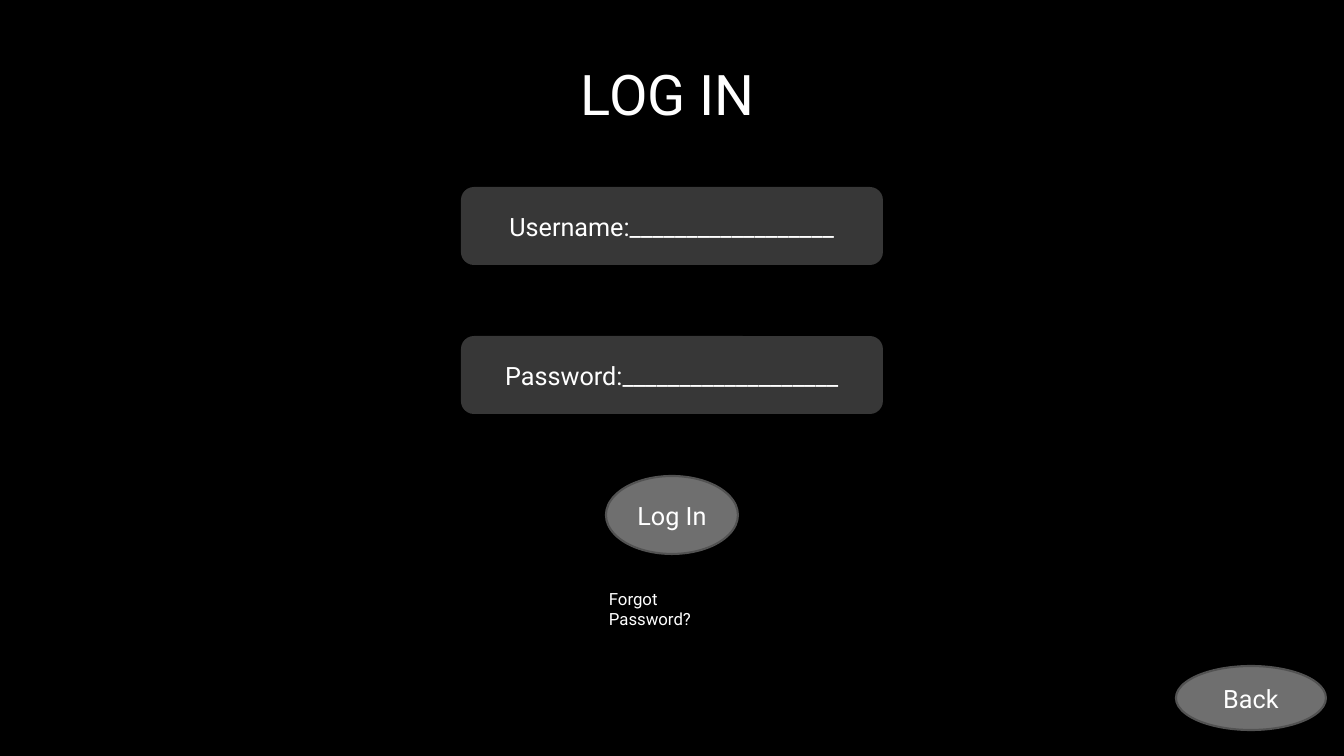
from lxml import etree
from pptx import Presentation
from pptx.dml.color import RGBColor
from pptx.enum import shapes, text
from pptx.oxml.ns import qn
from pptx import util as u

SCALE = 914400 / 100.8


def px(n):
    return u.Emu(round(n * SCALE))


def tint(code):
    return RGBColor.from_string(code)


class Page:
    font = "Roboto"
    ink = "FFFFFF"
    gray = "6F6F6F"
    edge = "525252"

    def __init__(self, slide, back):
        self.slide = slide
        fill = slide.background.fill
        fill.solid()
        fill.fore_color.rgb = tint(back)

    def put(self, frame, words, size, align):
        frame.word_wrap = True
        para = frame.paragraphs[0]
        para.alignment = align
        run = para.add_run()
        run.text = words
        run.font.name = self.font
        run.font.size = u.Pt(size)
        run.font.color.rgb = tint(self.ink)

    def shape(self, kind, box, words):
        item = self.slide.shapes.add_shape(kind, *map(px, box))
        item.shadow.inherit = False
        item.fill.solid()
        item.fill.fore_color.rgb = tint(self.gray)
        item.text_frame.vertical_anchor = text.MSO_ANCHOR.MIDDLE
        self.put(item.text_frame, words, 18, text.PP_ALIGN.CENTER)
        return item

    def field(self, box, words):
        item = self.shape(shapes.MSO_SHAPE.ROUNDED_RECTANGLE, box, words)
        item.line.fill.background()
        color = item.element.spPr.find(qn("a:solidFill"))[0]
        etree.SubElement(color, qn("a:alpha"), val="50000")

    def button(self, box, words):
        item = self.shape(shapes.MSO_SHAPE.OVAL, box, words)
        item.line.color.rgb = tint(self.edge)
        item.line.width = u.Pt(1.5)

    def label(self, box, words, size):
        frame = self.slide.shapes.add_textbox(*map(px, box)).text_frame
        frame.auto_size = text.MSO_AUTO_SIZE.SHAPE_TO_FIT_TEXT
        self.put(frame, words, size, text.PP_ALIGN.LEFT)


def main():
    deck = Presentation()
    deck.slide_width = px(1344)
    deck.slide_height = px(756)
    page = Page(deck.slides.add_slide(deck.slide_layouts[6]), "000000")

    fields = [("Username:", 18), ("Password:", 19)]
    for row, (name, count) in enumerate(fields):
        page.field((461, 187 + row * 149, 422, 78), name + "_" * count)

    page.button((606, 476, 132, 78), "Log In")
    page.label((599, 584, 147, 30), "Forgot Password?", 12)
    page.label((571, 55, 203, 78), "LOG IN", 40)
    page.button((1176, 666, 150, 64), "Back")
    deck.save("out.pptx")


if __name__ == "__main__":
    main()
